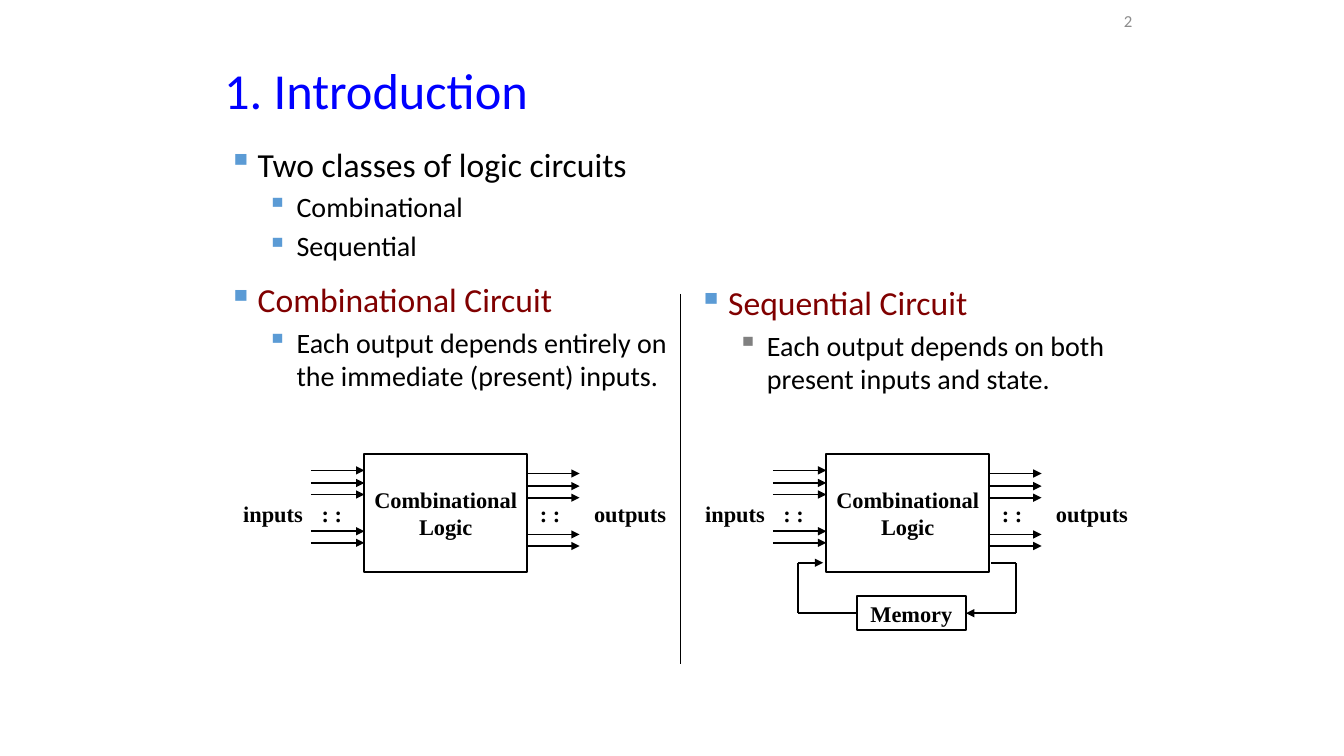
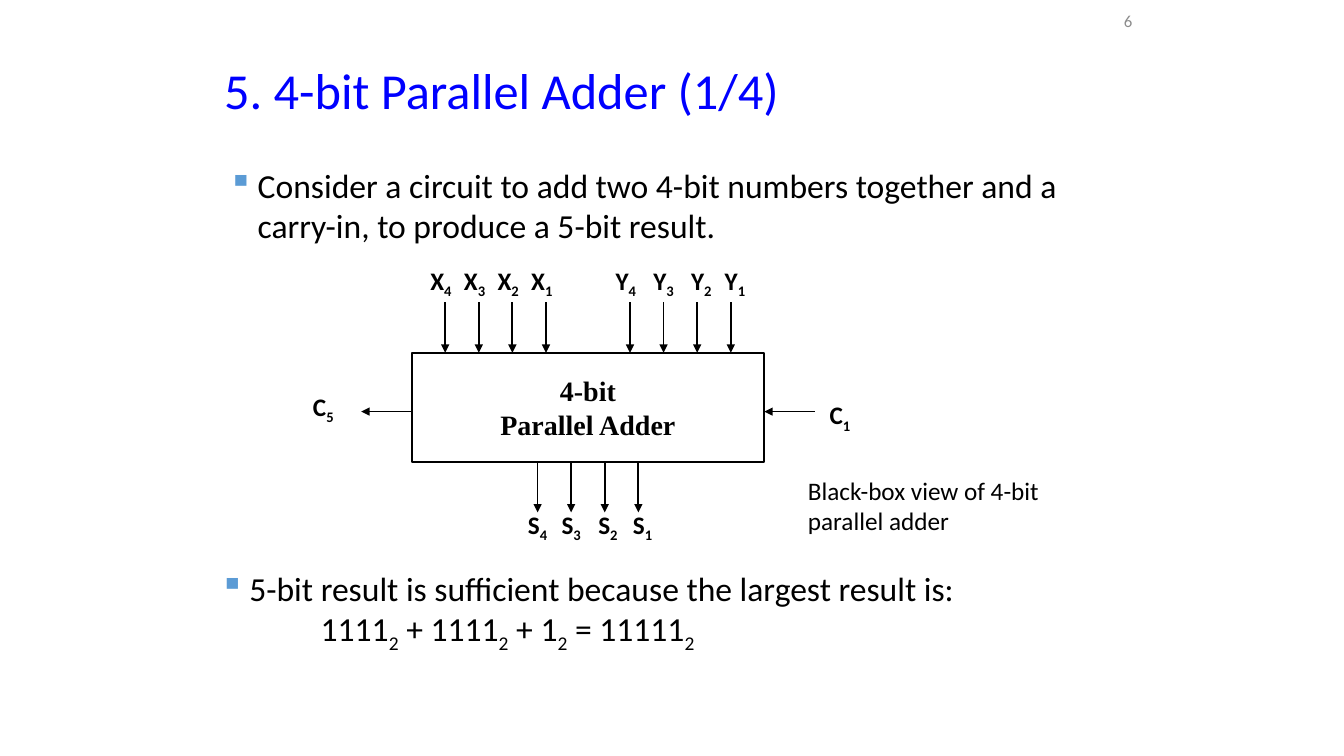
import dataclasses

import lxml.etree
import pptx
import pptx.dml.color
import pptx.enum.shapes
import pptx.enum.text
import pptx.oxml.ns
import pptx.util

PX = 9525  # EMU in one px, 96 px to the inch
ALIGN = pptx.enum.text.PP_ALIGN
ANCHOR = pptx.enum.text.MSO_ANCHOR


@dataclasses.dataclass(frozen=True)
class Type:
    size: int
    color: str = "000000"
    face: str = "Calibri"
    bold: bool = False


class Theme:
    ink = "000000"
    bullet = "5B9BD5"
    muted_bullet = "808080"
    title = Type(36, "0000FF")
    number = Type(12, "8C8C8C")
    point = Type(24)
    heading = Type(24, "800000")
    detail = Type(20)
    caption = Type(18)
    signal = Type(18, bold=True)
    block = Type(16, face="Times New Roman", bold=True)
    adder = Type(20, face="Times New Roman", bold=True)
    outline = 1.5
    arrow = 1.25
    divider = 0.75


@dataclasses.dataclass(frozen=True)
class Item:
    text: str
    type: Type = Theme.point
    margin: int = 28
    before: float = 4.8
    bullet: str = Theme.bullet


def detail(text, bullet=Theme.bullet):
    return Item(text, Theme.detail, 65, 4, bullet)


def heading(text):
    return Item(text, Theme.heading, before=12)


def add_child(parent, tag, **attributes):
    return lxml.etree.SubElement(parent, pptx.oxml.ns.qn(tag), **attributes)


class Deck:
    def __init__(self):
        self.file = pptx.Presentation()
        self.file.slide_width = 1280 * PX
        self.file.slide_height = 720 * PX
        self.slide = None

    def new_slide(self, title, number):
        self.slide = self.file.slides.add_slide(self.file.slide_layouts[6])
        title_line = self.text(title, (204, 55, 884, 67), Theme.title, anchor=ANCHOR.MIDDLE)
        title_line.line_spacing = 0.9
        self.text(number, (997, 2, 91, 35), Theme.number, ALIGN.RIGHT, ANCHOR.MIDDLE)

    def frame(self, box, anchor=ANCHOR.TOP):
        frame = self.slide.shapes.add_textbox(*(length * PX for length in box)).text_frame
        frame.word_wrap = True
        frame.vertical_anchor = anchor
        return frame

    def fill_paragraph(self, paragraph, text, style):
        """Add styled text; the one character after each underscore is a subscript."""
        first, *rest = text.split("_")
        paragraph.add_run().text = first
        for part in rest:
            subscript = paragraph.add_run()
            subscript.text = part[0]
            subscript._r.get_or_add_rPr().set("baseline", "-25000")
            if part[1:]:
                paragraph.add_run().text = part[1:]
        font = paragraph.font
        font.name, font.size, font.bold = style.face, pptx.util.Pt(style.size), style.bold
        font.color.rgb = pptx.dml.color.RGBColor.from_string(style.color)

    def text(self, text, box, style, align=ALIGN.LEFT, anchor=ANCHOR.TOP, side_inset=None):
        frame = self.frame(box, anchor)
        if side_inset is not None:
            frame.margin_left = frame.margin_right = side_inset * PX
        paragraph = frame.paragraphs[0]
        paragraph.alignment = align
        self.fill_paragraph(paragraph, text, style)
        return paragraph

    def bullets(self, items, box):
        frame = self.frame(box)
        for index, item in enumerate(items):
            paragraph = frame.add_paragraph() if index else frame.paragraphs[0]
            properties = paragraph._p.get_or_add_pPr()
            properties.set("marL", str(item.margin * PX))
            properties.set("indent", str(-28 * PX if item.bullet else 0))
            if item.bullet:
                color = add_child(properties, "a:buClr")
                add_child(color, "a:srgbClr", val=item.bullet)
                add_child(properties, "a:buChar", char="▪")
            paragraph.space_before = pptx.util.Pt(item.before)
            self.fill_paragraph(paragraph, item.text, item.type)

    def block(self, lines, box, style):
        """Outlined box with centred lines of text."""
        block = self.slide.shapes.add_shape(
            pptx.enum.shapes.MSO_SHAPE.RECTANGLE, *(length * PX for length in box))
        block.shadow.inherit = False
        block.fill.background()
        block.line.color.rgb = pptx.dml.color.RGBColor.from_string(Theme.ink)
        block.line.width = pptx.util.Pt(Theme.outline)
        frame = block.text_frame
        frame.word_wrap = True
        frame.vertical_anchor = ANCHOR.MIDDLE
        frame.margin_left = frame.margin_right = frame.margin_top = frame.margin_bottom = 0
        for index, line in enumerate(lines):
            paragraph = frame.add_paragraph() if index else frame.paragraphs[0]
            paragraph.alignment = ALIGN.CENTER
            self.fill_paragraph(paragraph, line, style)

    def line(self, start, end, width=Theme.arrow, arrow=True):
        line = self.slide.shapes.add_connector(
            pptx.enum.shapes.MSO_CONNECTOR.STRAIGHT, *(length * PX for length in start + end))
        line.line.color.rgb = pptx.dml.color.RGBColor.from_string(Theme.ink)
        line.line.width = pptx.util.Pt(width)
        properties = line._element.spPr
        if arrow:
            add_child(properties.find(pptx.oxml.ns.qn("a:ln")), "a:tailEnd", type="triangle")
        add_child(properties, "a:effectLst")

    def route(self, *points):
        """Straight segments through the points, with an arrowhead at the last."""
        for index in range(1, len(points)):
            self.line(points[index - 1], points[index], Theme.outline, index == len(points) - 1)

    def logic_circuit(self, left):
        self.block(["Combinational", "Logic"], (left + 123, 432, 155, 113), Theme.block)
        for x, width, label, inset in ((0, 72, "inputs", 1), (72, 40, ": :", None),
                                       (280, 40, ": :", None), (336, 80, "outputs", 1)):
            self.text(label, (left + x, 472, width, 36), Theme.block, ALIGN.CENTER,
                      side_inset=inset)
        for drop in (0, 12, 23, 58, 69):
            self.line((left + 72, 448 + drop), (left + 123, 448 + drop))
            self.line((left + 278, 451 + drop), (left + 328, 451 + drop))

    def signals(self, letter, first_x, label_shifts, label_top, arrow_top):
        """Four numbered signals, 4 down to 1, each with a label and a down arrow."""
        for index, shift in enumerate(label_shifts):
            x = first_x + 32 * index
            self.line((x, arrow_top), (x, arrow_top + 48))
            self.signal(f"{letter}_{4 - index}", x + shift, label_top)

    def signal(self, label, center, top):
        self.text(label, (center - 28, top, 56, 38), Theme.signal, ALIGN.CENTER)


def introduction(deck):
    deck.new_slide("1. Introduction", "2")
    deck.bullets([
        Item("Two classes of logic circuits"),
        detail("Combinational"),
        detail("Sequential"),
        heading("Combinational Circuit"),
        detail("Each output depends entirely on the immediate (present) inputs."),
    ], (208, 132, 464, 516))
    deck.bullets([
        heading("Sequential Circuit"),
        detail("Each output depends on both present inputs and state.", Theme.muted_bullet),
    ], (656, 264, 448, 160))
    deck.line((648, 280), (648, 632), Theme.divider, arrow=False)
    for left in (224, 664):
        deck.logic_circuit(left)
    deck.block(["Memory"], (816, 568, 104, 32), Theme.block)
    deck.route((944, 536), (968, 536), (968, 584), (920, 584))
    deck.route((816, 584), (760, 584), (760, 536), (784, 536))


def parallel_adder(deck):
    deck.new_slide("5. 4-bit Parallel Adder (1/4)", "6")
    deck.bullets([Item("Consider a circuit to add two 4-bit numbers together and a carry-in, "
                       "to produce a 5-bit result.")], (208, 152, 864, 96))
    deck.block(["4-bit", "Parallel Adder"], (392, 336, 336, 104), Theme.adder)
    deck.signals("X", 424, (-4, -4, -4, -4), 248, 288)
    deck.signals("Y", 600, (-4, 0, 4, 4), 248, 288)
    deck.signals("S", 512, (0, 0, 3, 4), 480, 440)
    deck.signal("C_5", 308, 368)
    deck.line((392, 392), (344, 392))
    deck.signal("C_1", 800, 376)
    deck.line((776, 392), (728, 392))
    deck.text("Black-box view of 4-bit parallel adder", (760, 448, 264, 67), Theme.caption)
    deck.bullets([
        Item("5-bit result is sufficient because the largest result is:"),
        Item("1111_2 + 1111_2 + 1_2 = 11111_2", margin=96, before=0, bullet=""),
    ], (200, 536, 864, 96))


def main():
    deck = Deck()
    introduction(deck)
    parallel_adder(deck)
    deck.file.save("out.pptx")


if __name__ == "__main__":
    main()
